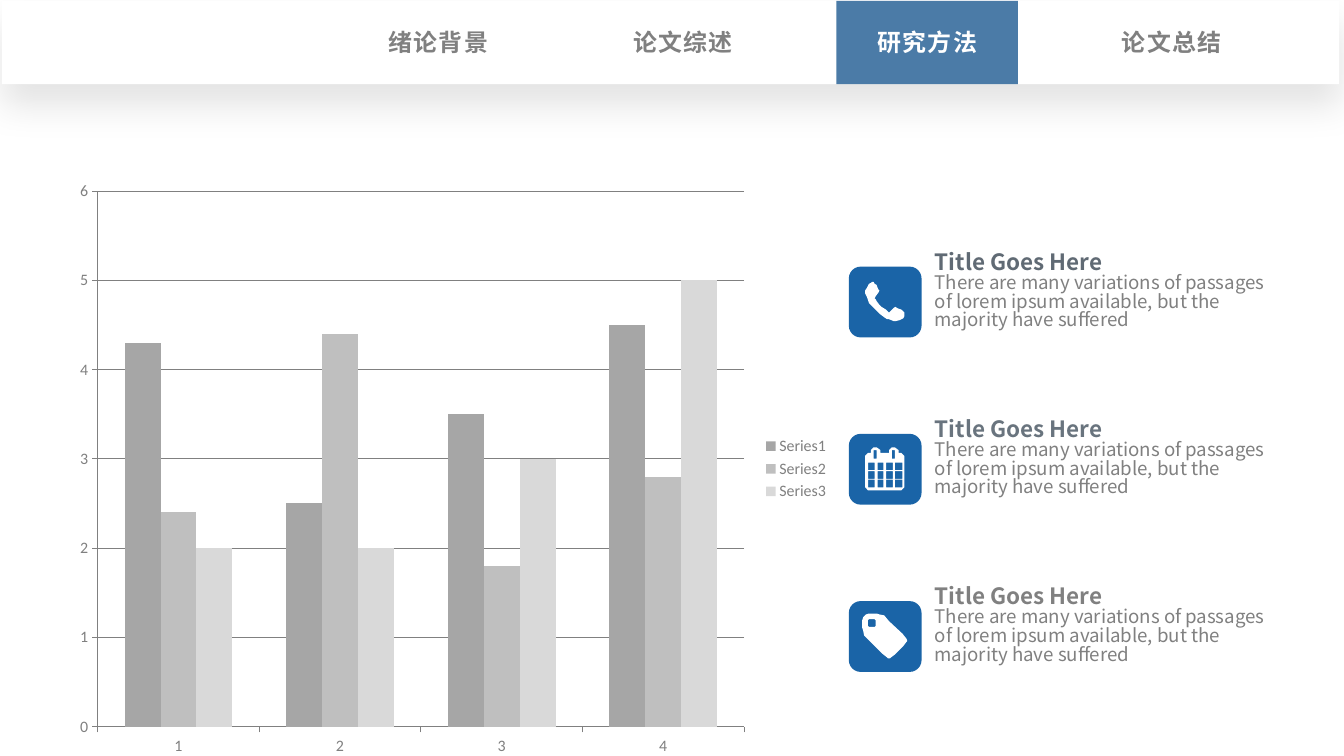
from lxml.etree import SubElement
from pptx import Presentation
from pptx.chart.data import CategoryChartData
from pptx.dml.color import RGBColor
from pptx.enum.chart import XL_CHART_TYPE, XL_LEGEND_POSITION, XL_TICK_MARK
from pptx.enum.lang import MSO_LANGUAGE_ID
from pptx.enum.shapes import MSO_SHAPE
from pptx.enum.text import MSO_AUTO_SIZE, PP_ALIGN
from pptx.oxml import parse_xml
from pptx.oxml.ns import nsdecls, qn
from pptx.util import Inches, Pt

WIDE, HIGH = Inches(14.06), Inches(7.91)
WHITE = RGBColor(0xFF, 0xFF, 0xFF)
GRAY = RGBColor(0x80, 0x80, 0x80)
BLUE = RGBColor(0x1A, 0x64, 0xA7)
NAVY = RGBColor(0x15, 0x54, 0x8D)
BARS = [RGBColor(0xA6, 0xA6, 0xA6), RGBColor(0xBF, 0xBF, 0xBF), RGBColor(0xD9, 0xD9, 0xD9)]
HEADS = [RGBColor(0x60, 0x6A, 0x74), RGBColor(0x69, 0x74, 0x7E), GRAY]
LATIN, HAN = "Calibri", "Noto Sans CJK SC"

TABS = ["绪论背景", "论文综述", "研究方法", "论文总结"]
ACTIVE = 2
HEAD = "Title Goes Here"
BODY = ("There are many variations of passages of lorem ipsum available, "
        "but the majority have suffered")
DATA = [(4.3, 2.5, 3.5, 4.5), (2.4, 4.4, 1.8, 2.8), (2, 2, 3, 5)]

# Icon outlines, in hundredths of an inch from the tile's corner
PHONE = [(58, 53), (54, 56), (48, 57), (41, 55), (36, 53), (22, 39), (19, 34), (17, 26),
         (19, 21), (22, 17), (25, 16), (28, 18), (31, 23), (32, 26), (27, 32), (28, 35),
         (33, 41), (40, 46), (42, 48), (48, 42), (51, 43), (56, 46), (58, 48)]
FRAME = [(20, 20), (23, 20), (23, 17), (26, 14), (29, 14), (33, 17), (33, 20), (42, 20),
         (42, 17), (45, 14), (48, 14), (52, 17), (52, 20), (55, 20), (58, 23), (58, 56),
         (55, 59), (20, 59), (17, 56), (17, 23)]
LABEL = [(60, 44), (45, 59), (42, 60), (39, 59), (17, 37), (14, 30), (14, 18), (19, 13),
         (31, 13), (38, 16), (60, 39), (61, 41)]


def place(x, y, w, h):
    """Turn percent of the slide's width and height into lengths."""
    return [int(WIDE * x / 100), int(HIGH * y / 100), int(WIDE * w / 100), int(HIGH * h / 100)]


def rect(x, y, w, h):
    return [(x, y), (x + w, y), (x + w, y + h), (x, y + h)]


def smooth(points):
    """Round an outline by cutting each corner."""
    cut = []
    for (ax, ay), (bx, by) in zip(points, points[1:] + points[:1]):
        cut += [(ax * .8 + bx * .2, ay * .8 + by * .2), (ax * .2 + bx * .8, ay * .2 + by * .8)]
    return cut


def icons():
    """Return the loops of each icon; inner loops are holes."""
    pegs = [rect(x, 17, 3, 9) for x in (26, 45)]
    days = [rect(20 + 9.5 * col, 30 + 9.25 * row, 7, 7.5) for row in range(3) for col in range(4)]
    hole = smooth(smooth(rect(20, 19, 8, 8)))
    return [[smooth(PHONE)], [FRAME] + pegs + days, [smooth(LABEL), hole]]


def paint(shape, color):
    shape.shadow.inherit = False
    shape.fill.solid()
    shape.fill.fore_color.rgb = color
    shape.line.fill.background()


def add_block(slide, kind, spot, color):
    block = slide.shapes.add_shape(kind, *spot)
    paint(block, color)
    return block


def add_icon(slide, left, top, loops):
    pen = None
    for loop in loops:
        if pen is None:
            pen = slide.shapes.build_freeform(*loop[0], scale=Inches(.01))
        else:
            pen.move_to(*loop[0])
        pen.add_line_segments(loop[1:], close=True)
    paint(pen.convert_to_shape(left, top), WHITE)


def add_text(slide, spot, wrap):
    frame = slide.shapes.add_textbox(*spot).text_frame
    frame.word_wrap = wrap
    frame.auto_size = MSO_AUTO_SIZE.SHAPE_TO_FIT_TEXT
    return frame


def add_run(para, text, size, color, bold, face):
    run = para.add_run()
    run.text = text
    font = run.font
    font.size, font.bold, font.name = Pt(size), bold, face
    font.color.rgb = color
    SubElement(font._element, qn("a:ea")).set("typeface", face)
    return run


def style(font):
    font.size, font.name = Pt(12), LATIN
    font.color.rgb = GRAY


def add_bars(slide):
    data = CategoryChartData()
    data.categories = ["1", "2", "3", "4"]
    for num, vals in enumerate(DATA, 1):
        data.add_series(f"Series{num}", vals)
    spot = place(4.91, 22.5, 57.54, 79.01)
    chart = slide.shapes.add_chart(XL_CHART_TYPE.COLUMN_CLUSTERED, *spot, data).chart
    style(chart.font)
    chart.has_title = False
    chart.has_legend = True
    chart.legend.position = XL_LEGEND_POSITION.RIGHT
    chart.legend.include_in_layout = False
    style(chart.legend.font)
    plot = chart.plots[0]
    plot.gap_width, plot.overlap, plot.vary_by_categories = 150, 0, False
    for series, color in zip(plot.series, BARS):
        series.format.fill.solid()
        series.format.fill.fore_color.rgb = color
    for axis in (chart.category_axis, chart.value_axis):
        axis.major_tick_mark = XL_TICK_MARK.OUTSIDE
        style(axis.tick_labels.font)
        axis.format.line.color.rgb = GRAY
    value = chart.value_axis
    value.minimum_scale, value.maximum_scale, value.major_unit = 0, 6, 1
    value.major_gridlines.format.line.color.rgb = GRAY
    fix_plot(chart)


def fix_plot(chart):
    """Set the inner plot area as shares of the chart."""
    area = chart._chartSpace.chart.plotArea
    for old in area.findall(qn("c:layout")):
        area.remove(old)
    layout = parse_xml(f"<c:layout {nsdecls('c')}><c:manualLayout/></c:layout>")
    for tag, val in [("layoutTarget", "inner"), ("xMode", "edge"), ("yMode", "edge"),
                     ("x", .041), ("y", .035), ("w", .836), ("h", .897)]:
        SubElement(layout[0], qn(f"c:{tag}")).set("val", str(val))
    area.insert(0, layout)


def add_item(slide, row, loops):
    drop = 22.12 * row
    frame = add_text(slide, place(68.85, 32.74 + drop, 26.24, 13.78), True)
    head, body = frame.paragraphs[0], frame.add_paragraph()
    add_run(head, HEAD, 16.9, HEADS[row], True, HAN)
    add_run(body, BODY, 14.1, GRAY, False, HAN)
    head.line_spacing = body.line_spacing = .83
    spot = place(63.16, 35.27 + drop, 5.41, 9.36)
    add_block(slide, MSO_SHAPE.ROUNDED_RECTANGLE, spot, BLUE)
    add_icon(slide, *spot[:2], loops)


def add_nav(slide):
    bar = add_block(slide, MSO_SHAPE.RECTANGLE, place(.14, .13, 99.5, 11), WHITE)
    glow = bar._element.spPr.find(qn("a:effectLst"))
    glow.append(parse_xml(
        f'<a:outerShdw {nsdecls("a")} blurRad="{Pt(28)}" dist="{Pt(15)}" dir="5400000" '
        'algn="t" rotWithShape="0"><a:srgbClr val="000000"><a:alpha val="11000"/>'
        '</a:srgbClr></a:outerShdw>'))
    mark = add_block(slide, MSO_SHAPE.RECTANGLE, place(62.23, .13, 13.51, 11), NAVY)
    tint = mark._element.spPr.find(qn("a:solidFill"))[0]
    SubElement(tint, qn("a:alpha")).set("val", "77000")
    for num, name in enumerate(TABS):
        frame = add_text(slide, place(28.1 + 18.19 * num, 3.03, 9.03, 5.06), False)
        para = frame.paragraphs[0]
        para.alignment = PP_ALIGN.CENTER
        color = WHITE if num == ACTIVE else GRAY
        run = add_run(para, name, 18, color, True, LATIN)
        run.font.language_id = MSO_LANGUAGE_ID.SIMPLIFIED_CHINESE
        run.font._element.set("spc", "100")


def main():
    deck = Presentation()
    deck.slide_width, deck.slide_height = WIDE, HIGH
    slide = deck.slides.add_slide(deck.slide_layouts[6])
    add_bars(slide)
    for row, loops in enumerate(icons()):
        add_item(slide, row, loops)
    add_nav(slide)
    deck.save("out.pptx")


if __name__ == "__main__":
    main()
